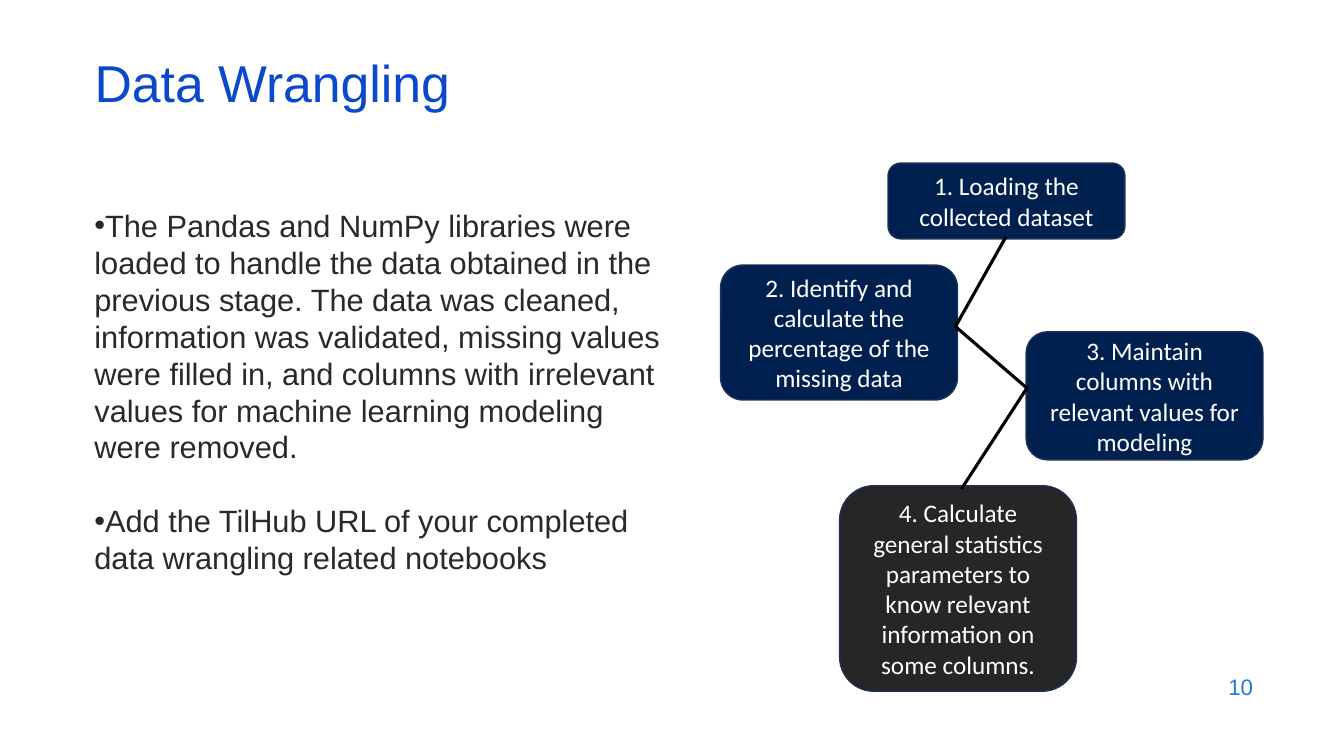
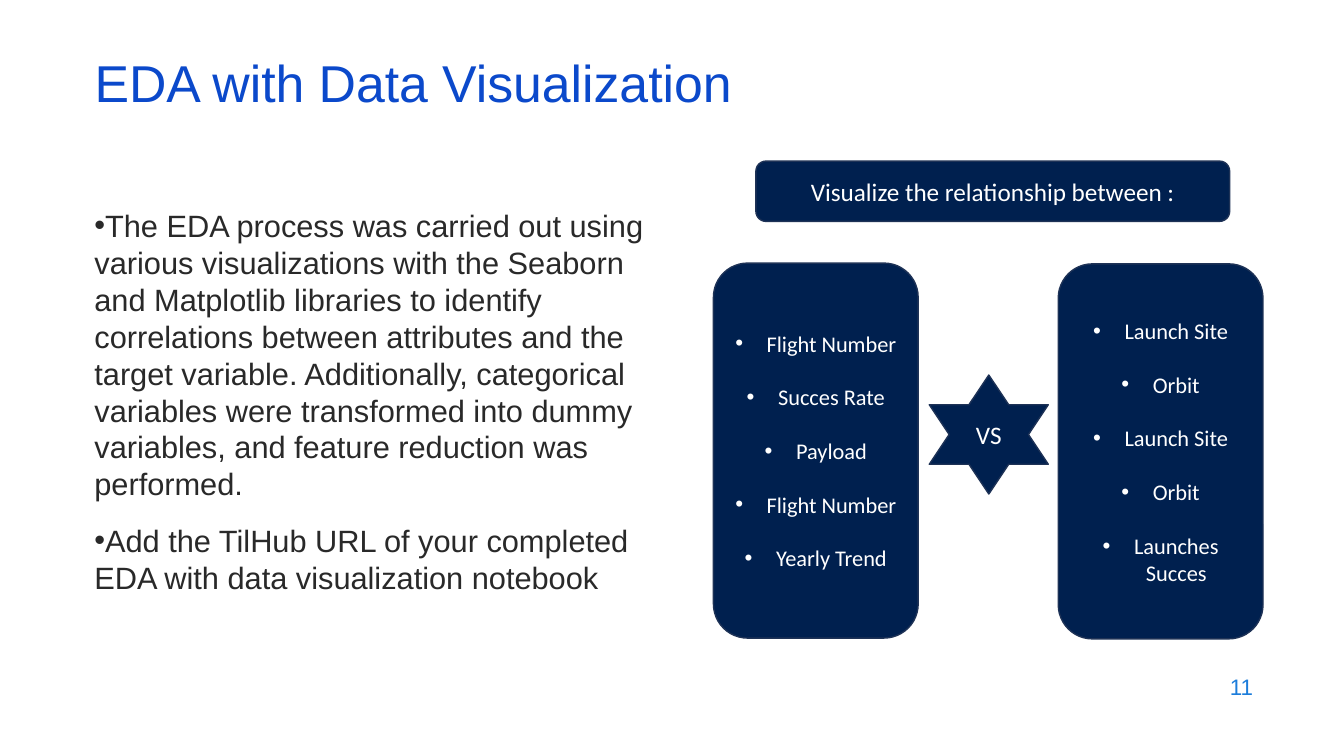
from pptx import Presentation
from pptx.dml.color import RGBColor
from pptx.enum.shapes import MSO_SHAPE
from pptx.enum.text import MSO_ANCHOR, MSO_AUTO_SIZE, PP_ALIGN
from pptx.oxml.ns import qn
from pptx.util import Cm, Pt
from lxml import etree

ROUND, STAR = MSO_SHAPE.ROUNDED_RECTANGLE, MSO_SHAPE.STAR_6_POINT
LEFT, MID, RIGHT = PP_ALIGN.LEFT, PP_ALIGN.CENTER, PP_ALIGN.RIGHT
TOP, CENTRE = MSO_ANCHOR.TOP, MSO_ANCHOR.MIDDLE
FIXED = MSO_AUTO_SIZE.NONE

COLORS = {
    "title": "0B49CB", "body": "292929", "page": "1C7DDB", "navy": "00204F",
    "edge": "1E3256", "dark": "262626", "white": "FFFFFF", "line": "000000",
}


def color(name):
    return RGBColor.from_string(COLORS[name])


def bullet(para, indent):
    """Give a paragraph a round bullet with a hanging indent in cm."""
    props = para._p.get_or_add_pPr()
    props.set("marL", str(Cm(indent)))
    props.set("indent", str(-Cm(indent)))
    etree.SubElement(props, qn("a:buFont")).set("typeface", "Arial")
    etree.SubElement(props, qn("a:buChar")).set("char", "•")


def write(shape, texts, size, font, tint, align=LEFT, anchor=CENTRE,
          gap=0, pitch=None, indent=None):
    """Fill a shape with paragraphs; an indent makes them bullets."""
    frame = shape.text_frame
    frame.word_wrap = True
    frame.auto_size = FIXED
    frame.vertical_anchor = anchor
    for i, text in enumerate(texts):
        para = frame.add_paragraph() if i else frame.paragraphs[0]
        if indent is not None:
            bullet(para, indent)
        para.alignment = align
        para.space_before = Pt(gap if i else 0)
        if pitch:
            para.line_spacing = pitch
        run = para.add_run()
        run.text = text
        run.font.size = Pt(size)
        run.font.name = font
        run.font.color.rgb = color(tint)


def add_box(slide, place, texts, kind=ROUND, fill="navy", size=18, **style):
    """Add a filled shape with centred white text."""
    box = slide.shapes.add_shape(kind, *map(Cm, place))
    box.shadow.inherit = False
    box.fill.solid()
    box.fill.fore_color.rgb = color(fill)
    box.line.color.rgb = color("edge")
    box.line.width = Pt(1)
    write(box, texts, size, "Calibri", "white", MID, **style)


def add_list(slide, left, top, items):
    add_box(slide, (left, top, 5.16, 9.45), items, size=16, gap=19.2, indent=0.79)


def add_trail(slide, points):
    """Draw one open line through the points."""
    spots = [(Cm(x), Cm(y)) for x, y in points]
    pen = slide.shapes.build_freeform(*spots[0])
    pen.add_line_segments(spots[1:], close=False)
    trail = pen.convert_to_shape()
    trail.shadow.inherit = False
    trail.fill.background()
    trail.line.color.rgb = color("line")
    trail.line.width = Pt(2.25)


def add_page(deck, title, number, points, gap):
    """Add a slide with title, page number and bullet text."""
    slide = deck.slides.add_slide(deck.slide_layouts[5])
    head = slide.shapes.title
    head.left, head.top, head.width, head.height = map(Cm, (2.13, 1.5, 29.21, 1.52))
    write(head, [title], 37, "Arial", "title", pitch=0.7)

    page = slide.shapes.add_textbox(*map(Cm, (24.21, 16.74, 7.62, 1.12)))
    write(page, [str(number)], 16, "Arial", "page", RIGHT)

    body = slide.shapes.add_textbox(*map(Cm, (2.13, 5.08, 14.78, 12.09)))
    write(body, points, 22, "Arial", "body", anchor=TOP, gap=gap,
          pitch=Pt(26.4), indent=0)
    return slide


def add_steps(deck):
    slide = add_page(deck, "Data Wrangling", 10, [
        "The Pandas and NumPy libraries were loaded to handle the data obtained "
        "in the previous stage. The data was cleaned, information was validated, "
        "missing values were filled in, and columns with irrelevant values for "
        "machine learning modeling were removed.",
        "Add the TilHub URL of your completed data wrangling related notebooks",
    ], 26.4)

    # Steps: left, top, height, fill, text
    steps = [
        (22.38, 4.11, 1.91, "navy", "1. Loading the collected dataset"),
        (18.16, 6.68, 3.4, "navy",
         "2. Identify and calculate the percentage of the missing data"),
        (25.86, 8.36, 3.23, "navy",
         "3. Maintain columns with relevant values for modeling"),
        (21.16, 12.24, 5.18, "dark",
         "4. Calculate general statistics parameters to know relevant "
         "information on some columns."),
    ]
    for left, top, height, fill, text in steps:
        add_box(slide, (left, top, 5.97, height), [text], fill=fill)
    add_trail(slide, [(25.35, 5.97), (24.08, 8.23), (25.88, 9.78), (24.23, 12.32)])


def add_pairs(deck):
    slide = add_page(deck, "EDA with Data Visualization", 11, [
        "The EDA process was carried out using various visualizations with the "
        "Seaborn and Matplotlib libraries to identify correlations between "
        "attributes and the target variable. Additionally, categorical variables "
        "were transformed into dummy variables, and feature reduction was "
        "performed.",
        "Add the TilHub URL of your completed EDA with data visualization notebook",
    ], 14)

    # Compared attributes
    add_box(slide, (19.05, 4.06, 11.94, 1.52), ["Visualize the relationship between :"])
    add_list(slide, 17.98, 6.63, ["Flight Number", "Succes Rate", "Payload",
                                  "Flight Number", "Yearly Trend"])
    add_list(slide, 26.67, 6.65, ["Launch Site", "Orbit", "Launch Site",
                                  "Orbit", "Launches Succes"])
    add_box(slide, (23.42, 9.45, 3, 3), ["VS"], kind=STAR)


def main():
    deck = Presentation()
    deck.slide_width, deck.slide_height = Cm(33.87), Cm(19.05)
    add_steps(deck)
    add_pairs(deck)
    deck.save("out.pptx")


if __name__ == "__main__":
    main()
